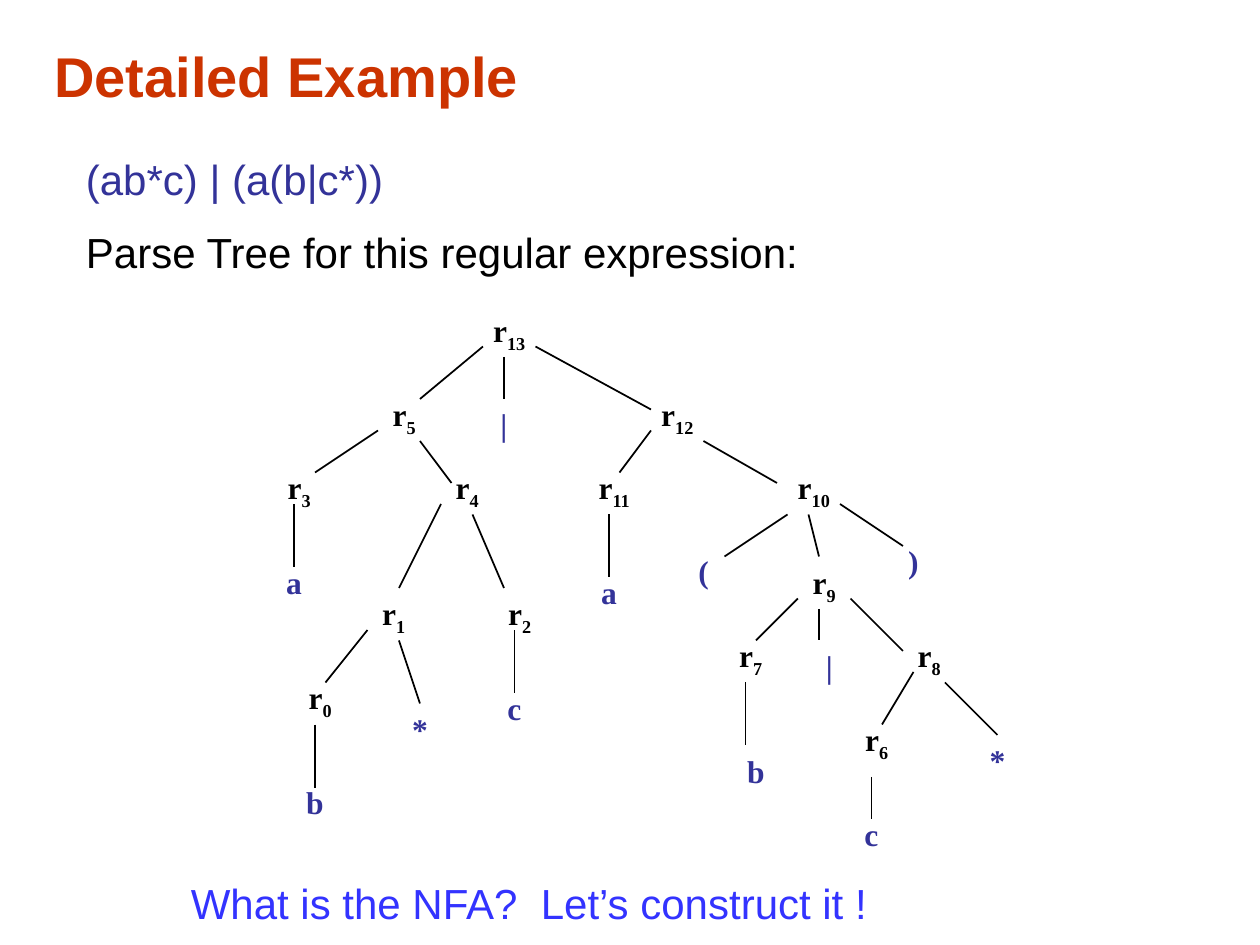
from dataclasses import dataclass

from lxml import etree
from pptx import Presentation
from pptx.dml.color import RGBColor
from pptx.enum.shapes import MSO_CONNECTOR
from pptx.enum.text import MSO_ANCHOR, MSO_AUTO_SIZE, PP_ALIGN
from pptx.oxml.ns import qn
from pptx.util import Emu, Pt

STRAIGHT = MSO_CONNECTOR.STRAIGHT
LEFT, CENTER = PP_ALIGN.LEFT, PP_ALIGN.CENTER
TOP, MIDDLE = MSO_ANCHOR.TOP, MSO_ANCHOR.MIDDLE
GROW = MSO_AUTO_SIZE.SHAPE_TO_FIT_TEXT
FIXED = MSO_AUTO_SIZE.NONE
EMU_PER_PX = 9525
TOP_SIDE = 0


@dataclass(frozen=True)
class Theme:
    title: str = "CC3300"
    black: str = "000000"
    symbol: str = "333399"
    question: str = "3333FF"
    sans: str = "Arial"
    serif: str = "Times New Roman"
    title_size: int = 32
    body_size: int = 24
    tree_size: int = 18
    paragraph_gap: int = 13
    branch_width: int = 1


@dataclass(frozen=True)
class Box:
    left: int
    top: int
    width: int
    height: int


@dataclass(frozen=True)
class Line:
    text: str
    color: str
    subscript: str = ""


@dataclass(frozen=True)
class Node:
    label: str
    left: int
    top: int


@dataclass(frozen=True)
class Branch:
    start: tuple[int, int]
    end: tuple[int, int]


THEME = Theme()
RULE_WIDTH, RULE_HEIGHT = 72, 42
LEAF_WIDTH, LEAF_HEIGHT = 48, 38

RULES = [
    Node("13", 352, 232), Node("12", 480, 296), Node("5", 272, 296),
    Node("3", 192, 352), Node("11", 432, 352), Node("4", 320, 352),
    Node("9", 592, 424), Node("10", 584, 352), Node("8", 672, 480),
    Node("7", 536, 480), Node("6", 632, 544), Node("0", 208, 512),
    Node("1", 264, 448), Node("2", 360, 448),
]

LEAVES = [
    Node("b", 216, 592), Node("*", 296, 536), Node("c", 368, 520),
    Node("a", 200, 424), Node("a", 440, 432), Node("|", 360, 304),
    Node("(", 512, 416), Node(")", 672, 408), Node("b", 552, 568),
    Node("|", 608, 488), Node("*", 736, 560), Node("c", 640, 616),
]

BRANCHES = [
    Branch((368, 264), (320, 304)), Branch((384, 272), (384, 304)),
    Branch((408, 264), (496, 312)), Branch((288, 328), (240, 360)),
    Branch((320, 336), (344, 368)), Branch((496, 328), (472, 360)),
    Branch((536, 336), (592, 368)), Branch((224, 384), (224, 432)),
    Branch((336, 384), (304, 448)), Branch((360, 392), (384, 448)),
    Branch((464, 392), (464, 440)), Branch((600, 392), (552, 424)),
    Branch((616, 392), (624, 424)), Branch((640, 384), (688, 416)),
    Branch((280, 480), (248, 520)), Branch((304, 488), (320, 536)),
    Branch((392, 480), (392, 528)), Branch((608, 456), (576, 488)),
    Branch((624, 464), (624, 488)), Branch((648, 456), (688, 496)),
    Branch((240, 552), (240, 600)), Branch((568, 520), (568, 568)),
    Branch((696, 512), (672, 552)), Branch((720, 520), (760, 560)),
    Branch((664, 592), (664, 624)),
]


def px(length: int) -> Emu:
    return Emu(length * EMU_PER_PX)


def add_text(slide, box: Box, lines: list[Line], *, font: str, size: int,
             bold: bool = False, align=LEFT, anchor=TOP, fit=GROW):
    holder = slide.shapes.add_textbox(
        px(box.left), px(box.top), px(box.width), px(box.height))
    frame = holder.text_frame
    frame.word_wrap = True
    frame.auto_size = fit
    frame.vertical_anchor = anchor
    for index, line in enumerate(lines):
        paragraph = frame.add_paragraph() if index else frame.paragraphs[0]
        paragraph.alignment = align
        if index:
            paragraph.space_before = Pt(THEME.paragraph_gap)
        for words, baseline in ((line.text, 0), (line.subscript, -25000)):
            if not words:
                continue
            run = paragraph.add_run()
            run.text = words
            run.font.name = font
            run.font.size = Pt(size)
            run.font.bold = bold
            run.font.color.rgb = RGBColor.from_string(line.color)
            if baseline:
                run.font._element.set("baseline", str(baseline))
    return holder


def add_tree_label(slide, box: Box, line: Line):
    return add_text(slide, box, [line], font=THEME.serif,
                    size=THEME.tree_size, bold=True, align=CENTER)


def add_branch(slide, branch: Branch, leaf_tops: dict) -> None:
    connector = slide.shapes.add_connector(
        STRAIGHT, *(px(value) for value in branch.start + branch.end))
    connector.line.color.rgb = RGBColor.from_string(THEME.black)
    connector.line.width = Pt(THEME.branch_width)
    etree.SubElement(connector._element.spPr, qn("a:effectLst"))
    if branch.end in leaf_tops:
        connector.end_connect(leaf_tops[branch.end], TOP_SIDE)


def add_parse_tree(slide) -> None:
    for rule in RULES:
        add_tree_label(slide, Box(rule.left, rule.top, RULE_WIDTH, RULE_HEIGHT),
                       Line("r", THEME.black, rule.label))
    leaf_tops = {}
    for leaf in LEAVES:
        top_middle = (leaf.left + LEAF_WIDTH // 2, leaf.top)
        leaf_tops[top_middle] = add_tree_label(
            slide, Box(leaf.left, leaf.top, LEAF_WIDTH, LEAF_HEIGHT),
            Line(leaf.label, THEME.symbol))
    for branch in BRANCHES:
        add_branch(slide, branch, leaf_tops)


def main() -> None:
    deck = Presentation()
    deck.slide_width, deck.slide_height = px(960), px(720)
    slide = deck.slides.add_slide(deck.slide_layouts[6])

    add_text(slide, Box(32, 24, 902, 67), [Line("Detailed Example", THEME.title)],
             font=THEME.sans, size=THEME.title_size, bold=True,
             anchor=MIDDLE, fit=FIXED)
    add_parse_tree(slide)
    add_text(slide, Box(56, 112, 784, 103),
             [Line("(ab*c) | (a(b|c*))", THEME.symbol),
              Line("Parse Tree for this regular expression:", THEME.black)],
             font=THEME.sans, size=THEME.body_size)
    add_text(slide, Box(136, 664, 584, 48),
             [Line("What is the NFA?  Let’s construct it !", THEME.question)],
             font=THEME.sans, size=THEME.body_size)
    deck.save("out.pptx")


if __name__ == "__main__":
    main()
